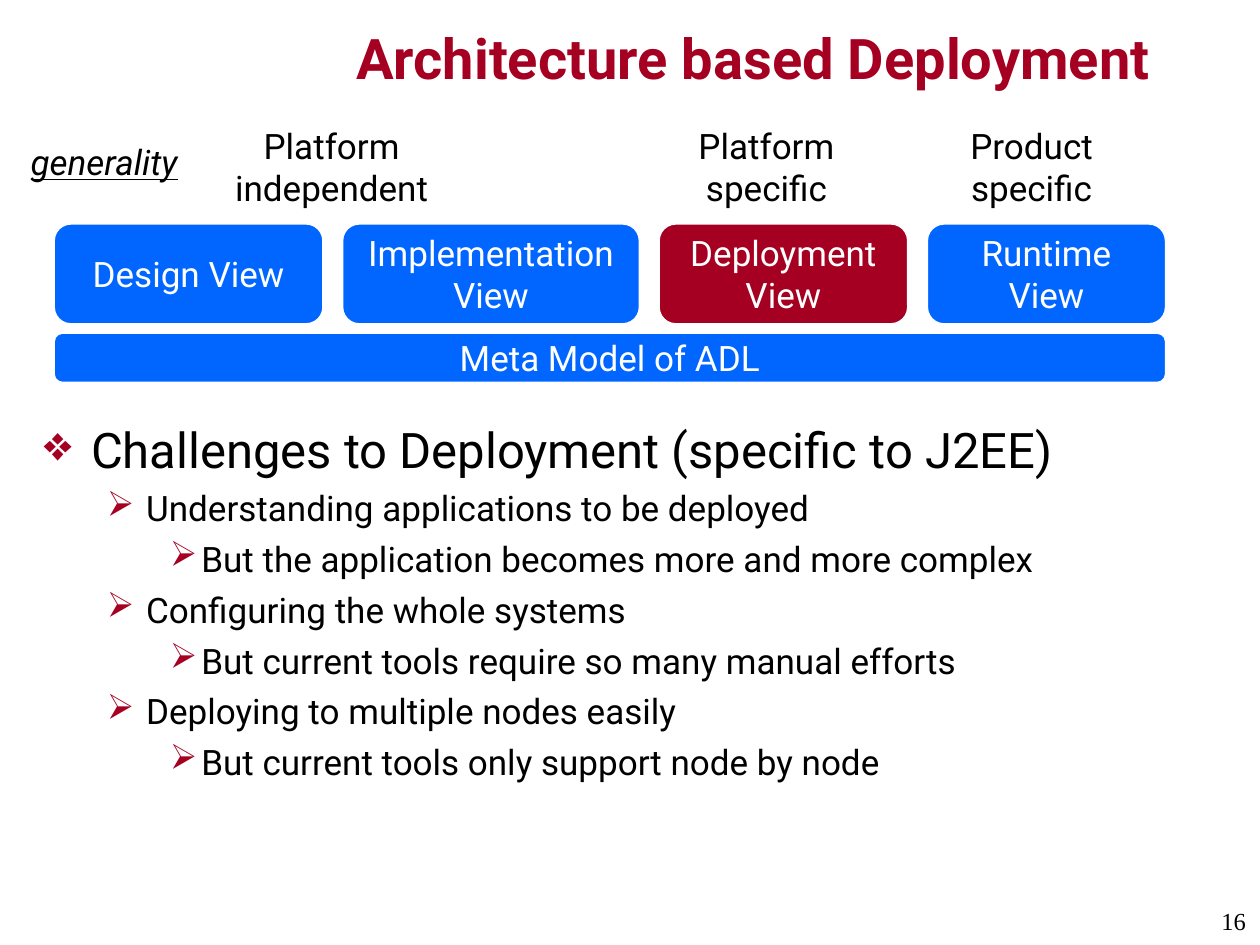
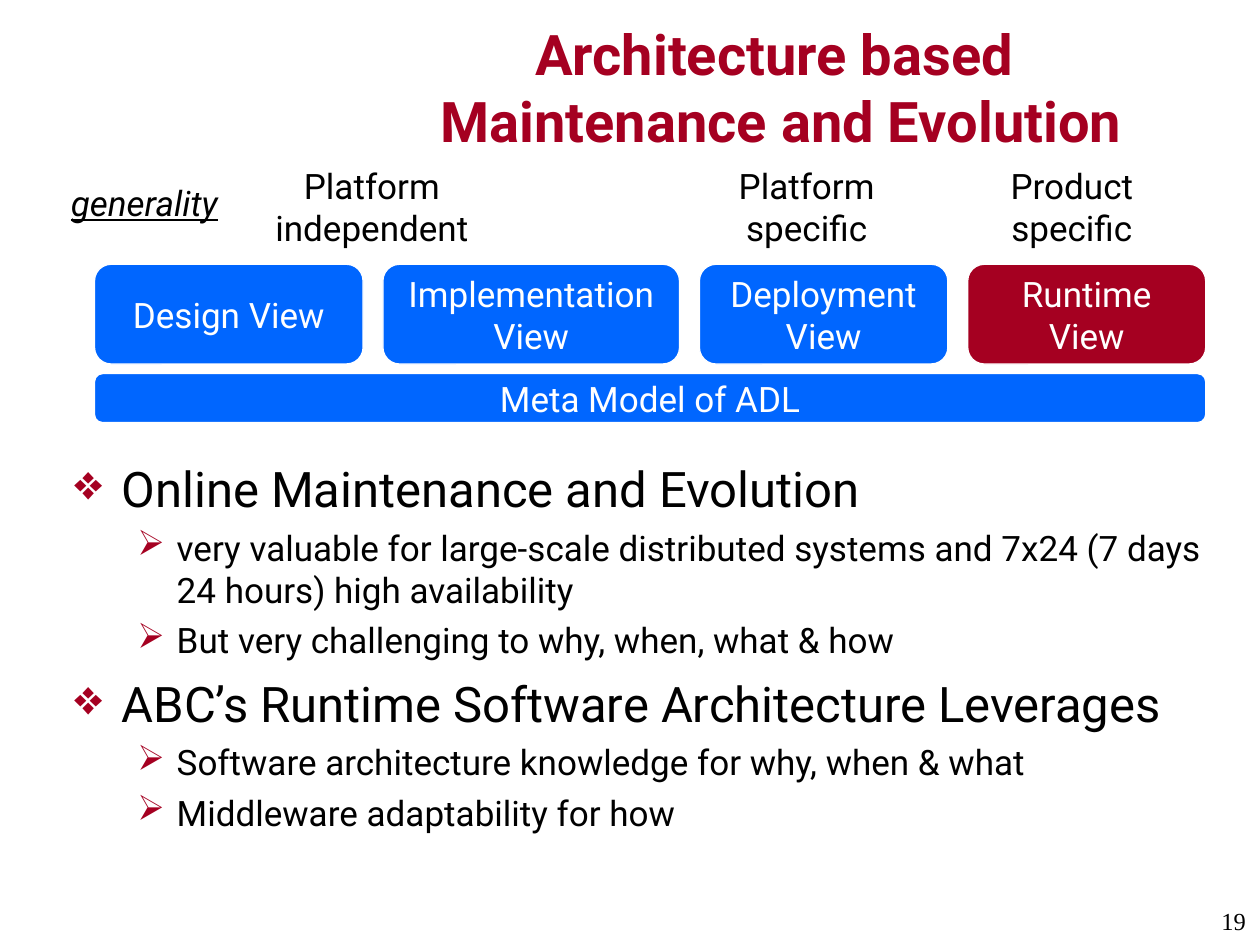
from lxml import etree
from pptx import Presentation
from pptx import util as u
from pptx.dml import color
from pptx.enum import shapes, text
from pptx.oxml import ns

Pt = u.Pt
COLORS = {"accent": "A50021", "view": "0066FF", "light": "FFFFFF", "ink": "000000"}
BODY_FONT, NUMBER_FONT = "Roboto", "Times New Roman"
LEVELS = [
    {"size": 28, "before": 7, "margin": 27, "hanging": 27, "mark": "❖"},
    {"size": 20, "before": 5, "margin": 58.5, "hanging": 22.5, "mark": "➢"},
    {"size": 20, "before": 5, "margin": 90, "hanging": 18, "mark": "➢"},
]
VIEWS = [("Design View", 153.5), ("Implementation View", 169.5),
         ("Deployment View", 142), ("Runtime View", 136)]
MODEL_WIDTH = 635
VIEW_GAP = (MODEL_WIDTH - sum(width for _, width in VIEWS)) / (len(VIEWS) - 1)
SCOPES = [("Platform independent", 79, 159), ("Platform specific", 343, 128),
          ("Product specific", 487.5, 142)]

PAGES = [
    {
        "title": ("Architecture based Deployment", (141, 0, 579, 65)),
        "views_at": (31, 128),
        "active": "Deployment View",
        "body_at": (25, 236, 669, 249),
        "points": [
            (0, "Challenges to Deployment (specific to J2EE)"),
            (1, "Understanding applications to be deployed"),
            (2, "But the application becomes more and more complex"),
            (1, "Configuring the whole systems"),
            (2, "But current tools require so many manual efforts"),
            (1, "Deploying to multiple nodes easily"),
            (2, "But current tools only support node by node"),
        ],
        "number": "16",
    },
    {
        "title": ("Architecture based \vMaintenance and Evolution", (173, 5, 547, 89)),
        "views_at": (54, 151),
        "active": "Runtime View",
        "body_at": (42.5, 258.5, 658, 250),
        "points": [
            (0, "Online Maintenance and Evolution"),
            (1, "very valuable for large-scale distributed systems and 7x24 "
                "(7 days 24 hours) high availability"),
            (1, "But very challenging to why, when, what & how"),
            (0, "ABC’s Runtime Software Architecture Leverages"),
            (1, "Software architecture knowledge for why, when & what"),
            (1, "Middleware adaptability for how"),
        ],
        "number": "19",
    },
]


class Slides:
    """Draw styled elements on the current page of a deck."""

    def __init__(self):
        self.deck = Presentation()
        self.deck.slide_width, self.deck.slide_height = Pt(720), Pt(540)
        self.page = None

    def new_page(self):
        self.page = self.deck.slides.add_slide(self.deck.slide_layouts[6])

    def rgb(self, name):
        return color.RGBColor.from_string(COLORS[name])

    def style(self, para, size, ink="ink", font=BODY_FONT, bold=False, slanted=False):
        for span in para.runs:
            span.font.name, span.font.size = font, Pt(size)
            span.font.color.rgb = self.rgb(ink)
            span.font.bold = bold
            span.font.italic = span.font.underline = slanted

    def frame(self, box, inset, anchor=text.MSO_ANCHOR.TOP, wrap=True):
        frame = box.text_frame
        frame.word_wrap, frame.vertical_anchor = wrap, anchor
        frame.margin_left = frame.margin_right = Pt(inset)
        frame.margin_top = frame.margin_bottom = Pt(3.6)
        return frame

    def text_box(self, words, place, size=20, inset=7.2, anchor=text.MSO_ANCHOR.TOP,
                 align=text.PP_ALIGN.CENTER, wrap=True, **look):
        box = self.page.shapes.add_textbox(*map(Pt, place))
        frame = self.frame(box, inset, anchor, wrap)
        frame.text = words
        frame.paragraphs[0].alignment = align
        self.style(frame.paragraphs[0], size, **look)

    def title(self, words, place):
        self.text_box(words, place, 32, 0, text.MSO_ANCHOR.MIDDLE, ink="accent", bold=True)

    def number(self, words):
        self.text_box(words, (669.5, 514, 42.5, 24), 14, 0,
                      align=text.PP_ALIGN.RIGHT, font=NUMBER_FONT)

    def block(self, words, place, fill="view"):
        box = self.page.shapes.add_shape(shapes.MSO_SHAPE.ROUNDED_RECTANGLE, *map(Pt, place))
        box.shadow.inherit = False
        box.fill.solid()
        box.fill.fore_color.rgb = self.rgb(fill)
        box.line.color.rgb, box.line.width = self.rgb("light"), Pt(0.75)
        frame = self.frame(box, 10, text.MSO_ANCHOR.MIDDLE)
        frame.text = words
        frame.paragraphs[0].alignment = text.PP_ALIGN.CENTER
        self.style(frame.paragraphs[0], 20, "light")

    def bullet(self, para, level):
        rule = LEVELS[level]
        props = para._p.get_or_add_pPr()
        props.set("marL", str(Pt(rule["margin"])))
        props.set("indent", str(-Pt(rule["hanging"])))
        tint = etree.SubElement(props, ns.qn("a:buClr"))
        etree.SubElement(tint, ns.qn("a:srgbClr"), val=COLORS["accent"])
        etree.SubElement(props, ns.qn("a:buChar"), char=rule["mark"])

    def outline(self, points, place):
        frame = self.frame(self.page.shapes.add_textbox(*map(Pt, place)), 0)
        for index, (level, words) in enumerate(points):
            para = frame.add_paragraph() if index else frame.paragraphs[0]
            para.text, para.level = words, level
            self.bullet(para, level)
            if index:
                para.space_before = Pt(LEVELS[level]["before"])
            self.style(para, LEVELS[level]["size"])

    def views(self, left, top, active):
        view_left = left
        for name, width in VIEWS:
            self.block(name, (view_left, top, width, 57), "accent" if name == active else "view")
            view_left += width + VIEW_GAP
        self.block("Meta Model of ADL", (left, top + 62.5, MODEL_WIDTH, 28))
        for scope, offset, width in SCOPES:
            self.text_box(scope, (left + offset, top - 60.5, width, 55.5))
        self.text_box("generality", (left - 23, top - 51, 103, 32), wrap=False, slanted=True)


def main():
    slides = Slides()
    for content in PAGES:
        slides.new_page()
        slides.title(*content["title"])
        slides.outline(content["points"], content["body_at"])
        slides.views(*content["views_at"], content["active"])
        slides.number(content["number"])
    slides.deck.save("out.pptx")


if __name__ == "__main__":
    main()
